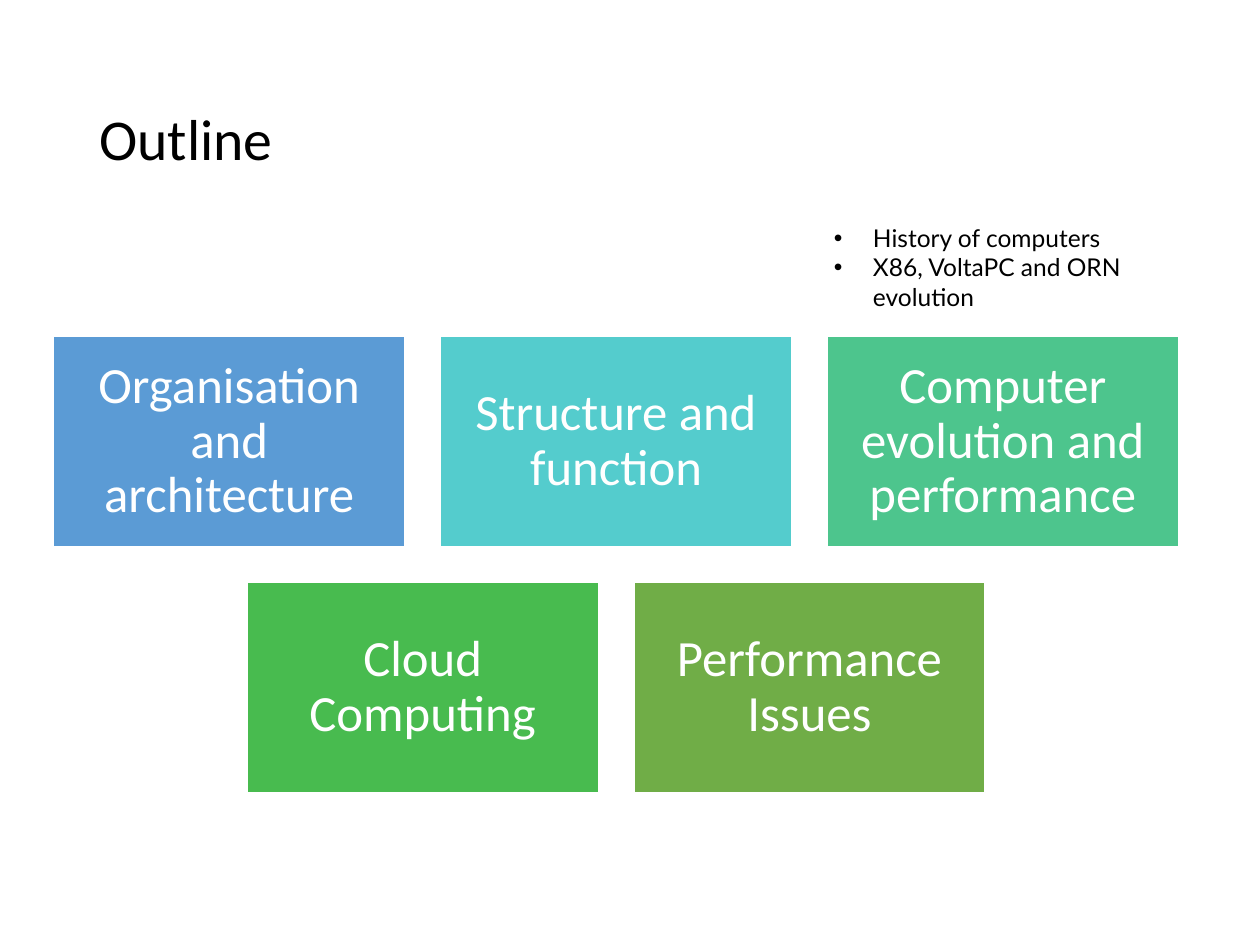
from dataclasses import dataclass

from lxml.etree import SubElement
from pptx import Presentation
from pptx.dml.color import RGBColor
from pptx.enum.shapes import MSO_SHAPE
from pptx.enum.text import MSO_ANCHOR, PP_ALIGN
from pptx.oxml.ns import qn
from pptx.util import Inches, Pt


@dataclass(frozen=True)
class Theme:
    text: str = "000000"
    on_fill: str = "FFFFFF"
    font: str = "Calibri"
    note_font: str = "Lato"
    title_size: int = 33
    topic_size: int = 29
    note_size: int = 14


@dataclass(frozen=True)
class Topic:
    label: str
    color: str


THEME = Theme()

# Topic grid: every row is centred on the same axis
TOPIC_W, TOPIC_H, GAP = 2.79, 1.67, 0.28
GRID_CENTER, GRID_TOP = 4.89, 2.67
ROWS = [
    [
        Topic("Organisation and architecture", "5B9BD5"),
        Topic("Structure and function", "54CCCD"),
        Topic("Computer evolution and performance", "4DC58D"),
    ],
    [
        Topic("Cloud Computing", "48BB4F"),
        Topic("Performance Issues", "70AD47"),
    ],
]
NOTES = ["History of computers", "X86, VoltaPC and ORN evolution"]


def style(p, size: int, color: str, font: str) -> None:
    for r in p.runs:
        r.font.size = Pt(size)
        r.font.name = font
        r.font.color.rgb = RGBColor.from_string(color)


def add_title(s, text: str) -> None:
    sp = s.shapes.add_textbox(Inches(0.69), Inches(0.4), Inches(8.62), Inches(1.45))
    tf = sp.text_frame
    tf.word_wrap = True
    tf.vertical_anchor = MSO_ANCHOR.MIDDLE
    tf.text = text
    p = tf.paragraphs[0]
    p.line_spacing = 0.9
    style(p, THEME.title_size, THEME.text, THEME.font)


def add_topic(s, topic: Topic, left: float, top: float) -> None:
    sp = s.shapes.add_shape(MSO_SHAPE.RECTANGLE, Inches(left), Inches(top),
                            Inches(TOPIC_W), Inches(TOPIC_H))
    sp.shadow.inherit = False
    sp.fill.solid()
    sp.fill.fore_color.rgb = RGBColor.from_string(topic.color)
    sp.line.color.rgb = RGBColor.from_string(THEME.on_fill)
    sp.line.width = Pt(1)
    tf = sp.text_frame
    tf.word_wrap = True
    tf.vertical_anchor = MSO_ANCHOR.MIDDLE
    tf.margin_left = tf.margin_right = tf.margin_top = tf.margin_bottom = Inches(0.12)
    tf.text = topic.label
    p = tf.paragraphs[0]
    p.alignment = PP_ALIGN.CENTER
    p.line_spacing = 0.9
    style(p, THEME.topic_size, THEME.on_fill, THEME.font)


def add_notes(s, lines: list[str]) -> None:
    sp = s.shapes.add_textbox(Inches(6.02), Inches(1.72), Inches(3.35), Inches(0.81))
    tf = sp.text_frame
    tf.word_wrap = True
    tf.text = "\n".join(lines)
    for p in tf.paragraphs:
        p.level = 1
        pPr = p._p.get_or_add_pPr()
        pPr.set("marL", str(Inches(0.81)))
        pPr.set("indent", str(Inches(-0.31)))
        SubElement(pPr, qn("a:buFont"), typeface="Arial")
        SubElement(pPr, qn("a:buChar"), char="•")
        style(p, THEME.note_size, THEME.text, THEME.note_font)


def main() -> None:
    prs = Presentation()
    prs.slide_width, prs.slide_height = Inches(10), Inches(7.5)
    s = prs.slides.add_slide(prs.slide_layouts[6])

    add_title(s, "Outline")

    # Topics
    for i, row in enumerate(ROWS):
        row_width = len(row) * (TOPIC_W + GAP) - GAP
        left = GRID_CENTER - row_width / 2
        top = GRID_TOP + i * (TOPIC_H + GAP)
        for j, topic in enumerate(row):
            add_topic(s, topic, left + j * (TOPIC_W + GAP), top)

    # Details above the third topic
    add_notes(s, NOTES)

    prs.save("out.pptx")


if __name__ == "__main__":
    main()
